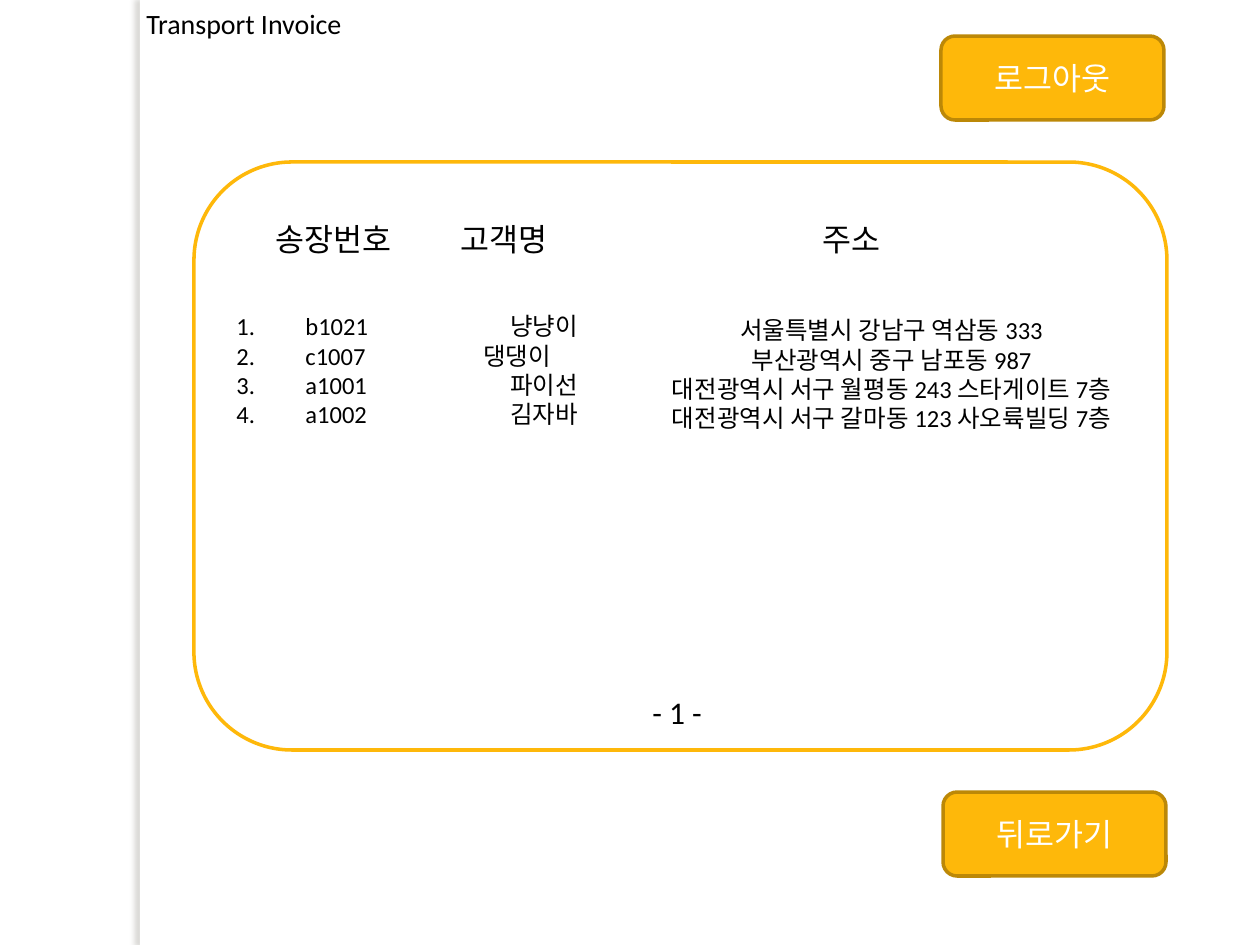
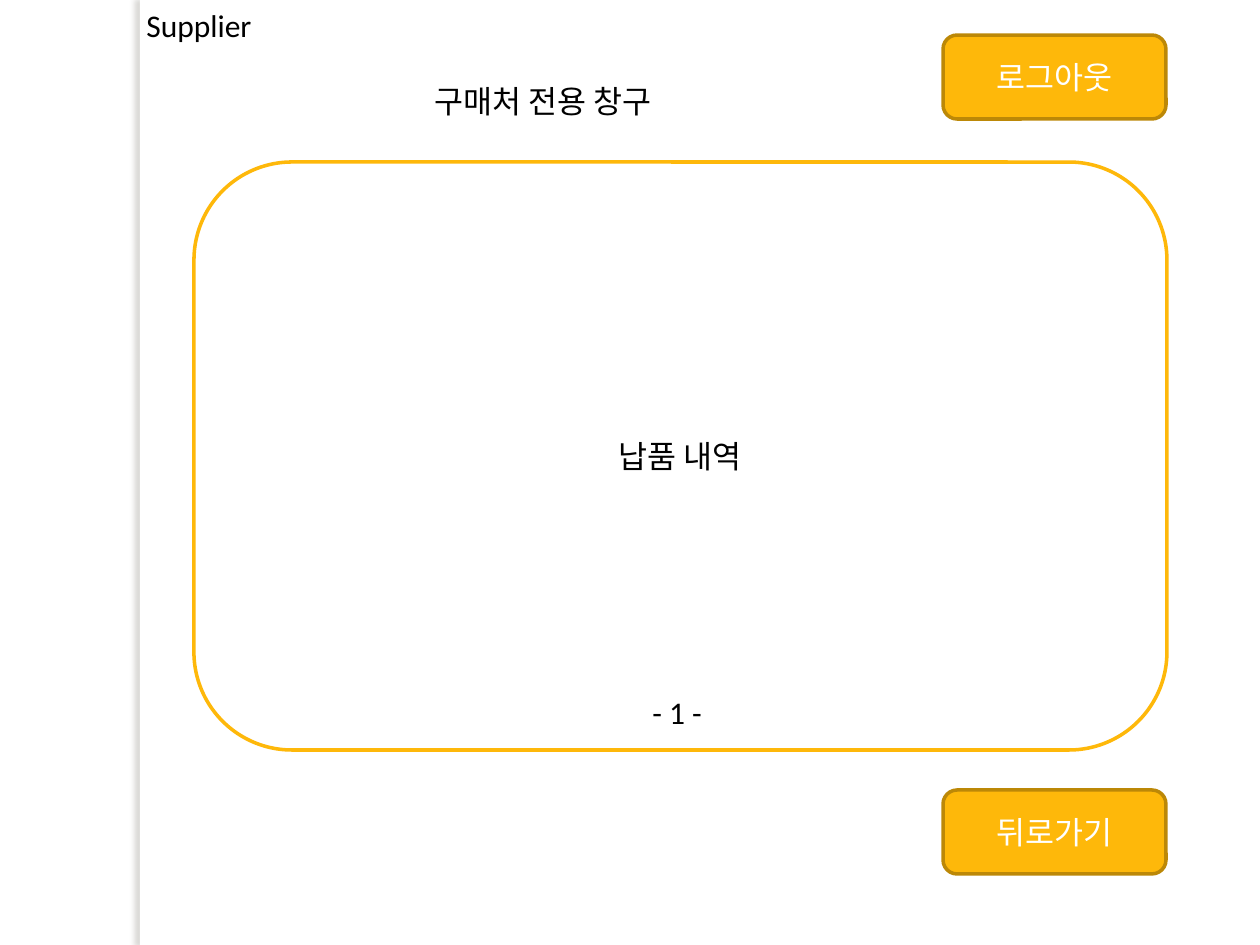
from lxml import etree
from pptx import Presentation
from pptx.dml.color import RGBColor
from pptx.enum.shapes import MSO_SHAPE as Shape
from pptx.enum.text import MSO_ANCHOR as Anchor, PP_ALIGN as Align
from pptx.oxml.ns import qn
from pptx.util import Emu, Pt

PX = 914400 / 126
FONT = "Calibri"
COLORS = {
    "paper": "FFFFFF",
    "ink": "000000",
    "accent": "FEB80A",
    "accent_edge": "BC8807",
    "shade": "736F63",
}
SHIPMENTS = [
    # invoice number, customer, tab stop of the customer, address
    ("b1021", "냥냥이", 274, "서울특별시 강남구 역삼동 333"),
    ("c1007", "댕댕이", 247, "부산광역시 중구 남포동 987"),
    ("a1001", "파이선", 274, "대전광역시 서구 월평동 243 스타게이트 7층"),
    ("a1002", "김자바", 274, "대전광역시 서구 갈마동 123 사오륙빌딩 7층"),
]
BUTTON_SIZE = (223, 84)


def px(length):
    return Emu(round(length * PX))


def color(name):
    return RGBColor.from_string(COLORS[name])


def write(frame, lines, size=18, ink="ink", align=Align.LEFT):
    frame.word_wrap = True
    frame.text = "\n".join(lines)
    for para in frame.paragraphs:
        para.alignment = align
        for span in para.runs:
            span.font.name = FONT
            span.font.size = Pt(size)
            span.font.color.rgb = color(ink)


def add_label(page, place, *lines, size=18, align=Align.LEFT):
    box = page.shapes.add_textbox(*map(px, place))
    write(box.text_frame, lines, size, align=align)
    return box.text_frame.paragraphs


def add_panel(page, kind, place, fill=None, edge=None):
    panel = page.shapes.add_shape(kind, *map(px, place))
    panel.shadow.inherit = False
    if fill:
        panel.fill.solid()
        panel.fill.fore_color.rgb = color(fill)
    else:
        panel.fill.background()
    if edge:
        panel.line.color.rgb = color(edge)
        panel.line.width = Pt(2)
    else:
        panel.line.fill.background()
    panel.text_frame.vertical_anchor = Anchor.MIDDLE
    return panel


def add_button(page, left, top, caption):
    button = add_panel(page, Shape.ROUNDED_RECTANGLE, (left, top, *BUTTON_SIZE),
                       "accent", "accent_edge")
    write(button.text_frame, [caption], ink="paper", align=Align.CENTER)


def add_spine(page):
    """White strip whose shadow falls to the left."""
    spine = add_panel(page, Shape.RECTANGLE, (140, 0, 10, 945), "paper")
    effects = spine.element.spPr.find(qn("a:effectLst"))
    shadow = etree.SubElement(effects, qn("a:outerShdw"), blurRad=str(Pt(3)),
                              dist=str(Pt(3)), dir=str(180 * 60000), rotWithShape="0")
    tint = etree.SubElement(shadow, qn("a:srgbClr"), val=COLORS["shade"])
    etree.SubElement(tint, qn("a:alpha"), val="25000")


def set_tabs(para, *stops):
    tabs = etree.SubElement(para._p.get_or_add_pPr(), qn("a:tabLst"))
    for stop in stops:
        etree.SubElement(tabs, qn("a:tab"), pos=str(px(stop)), algn="l")


def number(para, indent):
    settings = para._p.get_or_add_pPr()
    settings.set("marL", str(px(indent)))
    settings.set("indent", str(px(-indent)))
    etree.SubElement(settings, qn("a:buFont"), typeface="+mj-lt")
    etree.SubElement(settings, qn("a:buAutoNum"), type="arabicPeriod")


def add_screen(deck, title, title_size, logout_at, back_at):
    """Page with everything the screens share; returns page and main panel."""
    page = deck.slides.add_slide(deck.slide_layouts[6])
    add_spine(page)
    add_button(page, *back_at, "뒤로가기")
    add_button(page, *logout_at, "로그아웃")
    panel = add_panel(page, Shape.ROUNDED_RECTANGLE, (194, 162, 973, 588), edge="accent")
    add_label(page, (134, 0, 427, 50), title, size=title_size)
    add_label(page, (640, 687, 100, 50), "- 1 -")
    return page, panel


def add_invoice_screen(deck):
    page, _ = add_screen(deck, "Transport Invoice", 16, (941, 36), (943, 792))
    heading = add_label(page, (263, 214, 873, 50), "송장번호\t고객명\t주소")
    set_tabs(heading[0], 185, 547)
    rows = add_label(page, (224, 305, 410, 161),
                     *(f"{code}\t{name}" for code, name, _, _ in SHIPMENTS), size=14)
    for para, (_, _, stop, _) in zip(rows, SHIPMENTS):
        number(para, 69)
        set_tabs(para, stop)
    add_label(page, (634, 309, 515, 190), *(row[-1] for row in SHIPMENTS),
              size=14, align=Align.CENTER)


def add_supplier_screen(deck):
    page, panel = add_screen(deck, "Supplier", 18, (943, 35), (943, 790))
    add_label(page, (422, 76, 307, 50), "구매처 전용 창구")
    write(panel.text_frame, ["납품 내역"], align=Align.CENTER)


def main():
    deck = Presentation()
    deck.slide_width, deck.slide_height = px(1260), px(945)
    add_invoice_screen(deck)
    add_supplier_screen(deck)
    deck.save("out.pptx")


if __name__ == "__main__":
    main()
